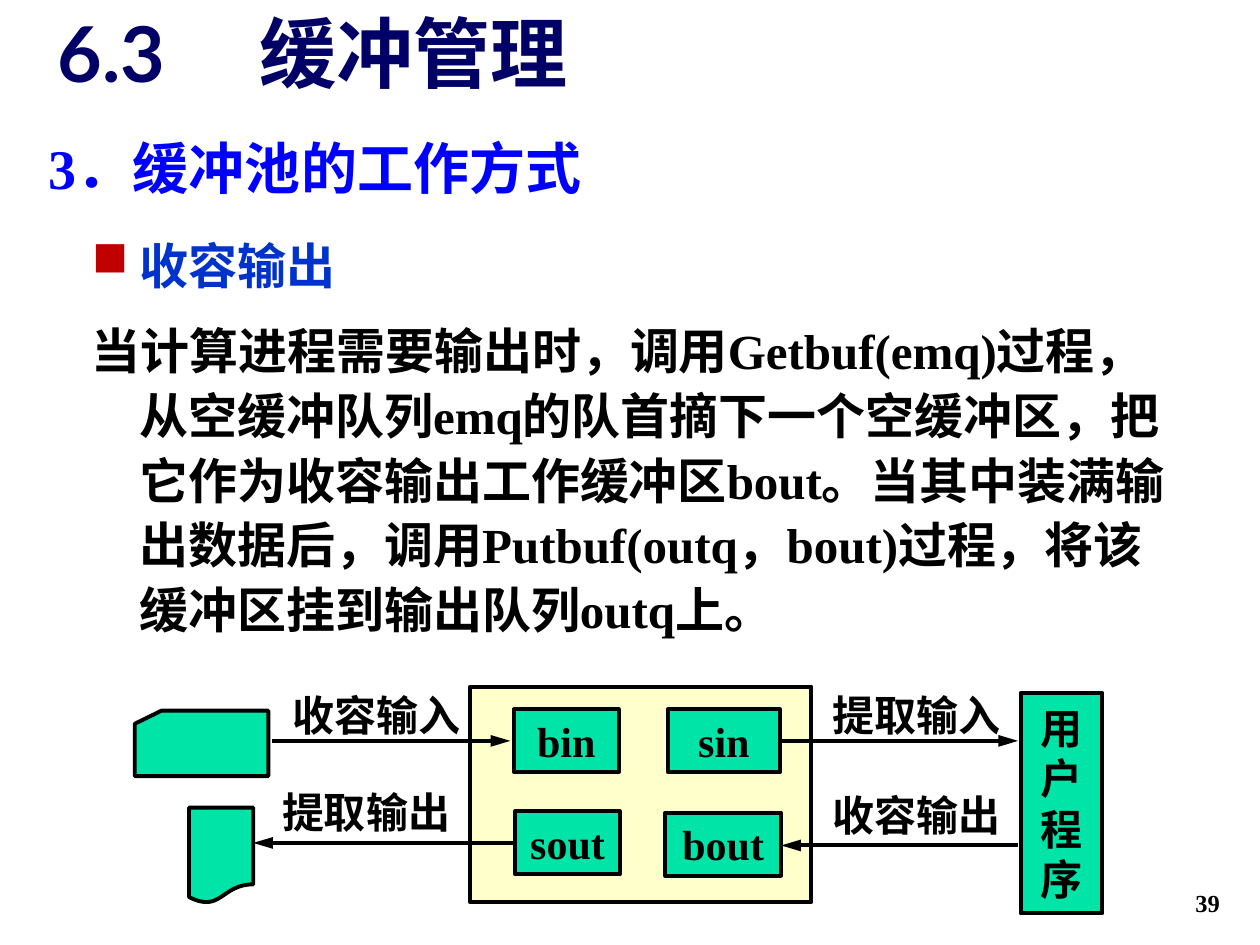
import pptx
import pptx.util
import pptx.dml.color
import pptx.enum.shapes
import pptx.enum.text
import pptx.oxml.ns
import pptx.oxml.xmlchemy
from dataclasses import dataclass

Inches = pptx.util.Inches
Pt = pptx.util.Pt
SHAPE = pptx.enum.shapes.MSO_SHAPE
ALIGN = pptx.enum.text.PP_ALIGN
ANCHOR = pptx.enum.text.MSO_ANCHOR
qn = pptx.oxml.ns.qn


@dataclass(frozen=True)
class Theme:
    black: str = "000000"
    navy: str = "000066"
    heading_blue: str = "0000FF"
    topic_blue: str = "0033CC"
    bullet_red: str = "C00000"
    green: str = "00E4A8"
    cream: str = "FFFFCC"
    serif: str = "Times New Roman"
    sans: str = "Lato"
    chinese: str = "Noto Sans CJK SC"
    title_size: int = 44
    heading_size: int = 32
    body_size: int = 28
    label_size: int = 24
    number_size: int = 14
    line_width: float = 2.25


def rgb(value):
    return pptx.dml.color.RGBColor.from_string(value)


def add_element(parent, tag, **attributes):
    element = pptx.oxml.xmlchemy.OxmlElement(tag)
    for name, value in attributes.items():
        element.set(name, str(value))
    parent.append(element)
    return element


class SlideBuilder:
    def __init__(self, slide, theme):
        self.slide = slide
        self.theme = theme

    def style(self, paragraph, size, color, font, align=ALIGN.LEFT):
        paragraph.alignment = align
        for run in paragraph.runs:
            run.font.size = Pt(size)
            run.font.bold = True
            run.font.name = font
            run.font.color.rgb = rgb(color)
            add_element(run.font._element, "a:ea", typeface=self.theme.chinese)

    def title(self, text, box, tab):
        """Fill the title placeholder; tab is the stop after the section number."""
        holder = self.slide.shapes.title
        holder.left, holder.top, holder.width, holder.height = map(Inches, box)
        frame = holder.text_frame
        frame.text = text
        frame.vertical_anchor = ANCHOR.BOTTOM
        paragraph = frame.paragraphs[0]
        stops = add_element(paragraph._p.get_or_add_pPr(), "a:tabLst")
        add_element(stops, "a:tab", pos=Inches(tab), algn="l")
        self.style(paragraph, self.theme.title_size, self.theme.navy, self.theme.sans)

    def text(self, text, box, size, color, font, align=ALIGN.LEFT, anchor=ANCHOR.TOP):
        frame = self.slide.shapes.add_textbox(*map(Inches, box)).text_frame
        frame.word_wrap = True
        frame.vertical_anchor = anchor
        frame.text = text
        for paragraph in frame.paragraphs:
            self.style(paragraph, size, color, font, align)
        return frame

    def body(self, topic, explanation, box):
        theme = self.theme
        frame = self.text(f"{topic}\n{explanation}", box, theme.body_size,
                          theme.black, theme.serif)
        for paragraph in frame.paragraphs:
            paragraph.line_spacing = 1.1
            properties = paragraph._p.get_or_add_pPr()
            properties.set("marL", str(Inches(0.38)))
            properties.set("indent", str(Inches(-0.38)))
        heading = frame.paragraphs[0]
        heading.space_after = Pt(12)
        heading.runs[0].font.color.rgb = rgb(theme.topic_blue)
        heading.runs[0].font.name = theme.chinese
        properties = heading._p.get_or_add_pPr()
        bullet_color = add_element(properties, "a:buClr")
        add_element(bullet_color, "a:srgbClr", val=theme.bullet_red)
        add_element(properties, "a:buChar", char="■")

    def block(self, kind, box, fill, text="", font=None, anchor=ANCHOR.TOP):
        theme = self.theme
        shape = self.slide.shapes.add_shape(kind, *map(Inches, box))
        shape.shadow.inherit = False
        shape.fill.solid()
        shape.fill.fore_color.rgb = rgb(fill)
        shape.line.color.rgb = rgb(theme.black)
        shape.line.width = Pt(theme.line_width)
        if text:
            frame = shape.text_frame
            frame.word_wrap = True
            frame.vertical_anchor = anchor
            frame.text = text
            self.style(frame.paragraphs[0], theme.label_size, theme.black,
                       font, ALIGN.CENTER)

    def arrow(self, start_x, end_x, y):
        line = self.slide.shapes.add_connector(
            pptx.enum.shapes.MSO_CONNECTOR.STRAIGHT,
            Inches(start_x), Inches(y), Inches(end_x), Inches(y))
        line.line.color.rgb = rgb(self.theme.black)
        line.line.width = Pt(self.theme.line_width)
        properties = line._element.find(qn("p:spPr"))
        add_element(properties.find(qn("a:ln")), "a:tailEnd",
                    type="triangle", w="med", len="lg")
        add_element(properties, "a:effectLst")


def main():
    theme = Theme()
    deck = pptx.Presentation()
    deck.slide_width, deck.slide_height = Inches(10), Inches(7.5)
    page = SlideBuilder(deck.slides.add_slide(deck.slide_layouts[5]), theme)

    page.title("6.3\t缓冲管理", (0.36, 0.07, 9.43, 0.76), tab=1.6)
    page.text("3．缓冲池的工作方式", (0.29, 0.88, 9.43, 0.76), theme.heading_size,
              theme.heading_blue, theme.serif, anchor=ANCHOR.BOTTOM)
    page.body(
        "收容输出",
        "当计算进程需要输出时，调用Getbuf(emq)过程，从空缓冲队列emq的队首摘下一个空缓冲区，"
        "把它作为收容输出工作缓冲区bout。当其中装满输出数据后，调用Putbuf(outq，bout)过程，"
        "将该缓冲区挂到输出队列outq上。",
        (0.63, 1.77, 8.92, 3.35))

    page.block(SHAPE.FLOWCHART_CARD, (1.07, 5.64, 1.06, 0.52), theme.green)
    page.block(SHAPE.FLOWCHART_DOCUMENT, (1.5, 6.41, 0.51, 0.76), theme.green)
    page.block(SHAPE.RECTANGLE, (3.73, 5.45, 2.71, 1.71), theme.cream)
    for buffer, left, top, width in (("bin", 4.08, 5.63, 0.83), ("sin", 5.3, 5.63, 0.89),
                                     ("sout", 4.09, 6.44, 0.83), ("bout", 5.28, 6.45, 0.92)):
        page.block(SHAPE.RECTANGLE, (left, top, width, 0.5), theme.green,
                   buffer, theme.serif)
    page.block(SHAPE.RECTANGLE, (8.1, 5.5, 0.65, 1.75), theme.green,
               "用户程序", theme.sans, ANCHOR.MIDDLE)

    for operation, left, top in (("收容输入", 2.2, 5.42), ("提取输出", 2.12, 6.19),
                                 ("提取输入", 6.49, 5.42), ("收容输出", 6.49, 6.22)):
        page.text(operation, (left, top, 1.57, 0.5), theme.label_size,
                  theme.black, theme.sans, ALIGN.CENTER)
    for start_x, end_x, y in ((2.16, 4.05, 5.88), (6.2, 8.08, 5.88),
                              (8.08, 6.2, 6.71), (4.07, 2.01, 6.69)):
        page.arrow(start_x, end_x, y)

    page.text("39", (7.7, 6.83, 2.08, 0.5), theme.number_size, theme.black,
              theme.serif, ALIGN.RIGHT, ANCHOR.BOTTOM)
    deck.save("out.pptx")


if __name__ == "__main__":
    main()
